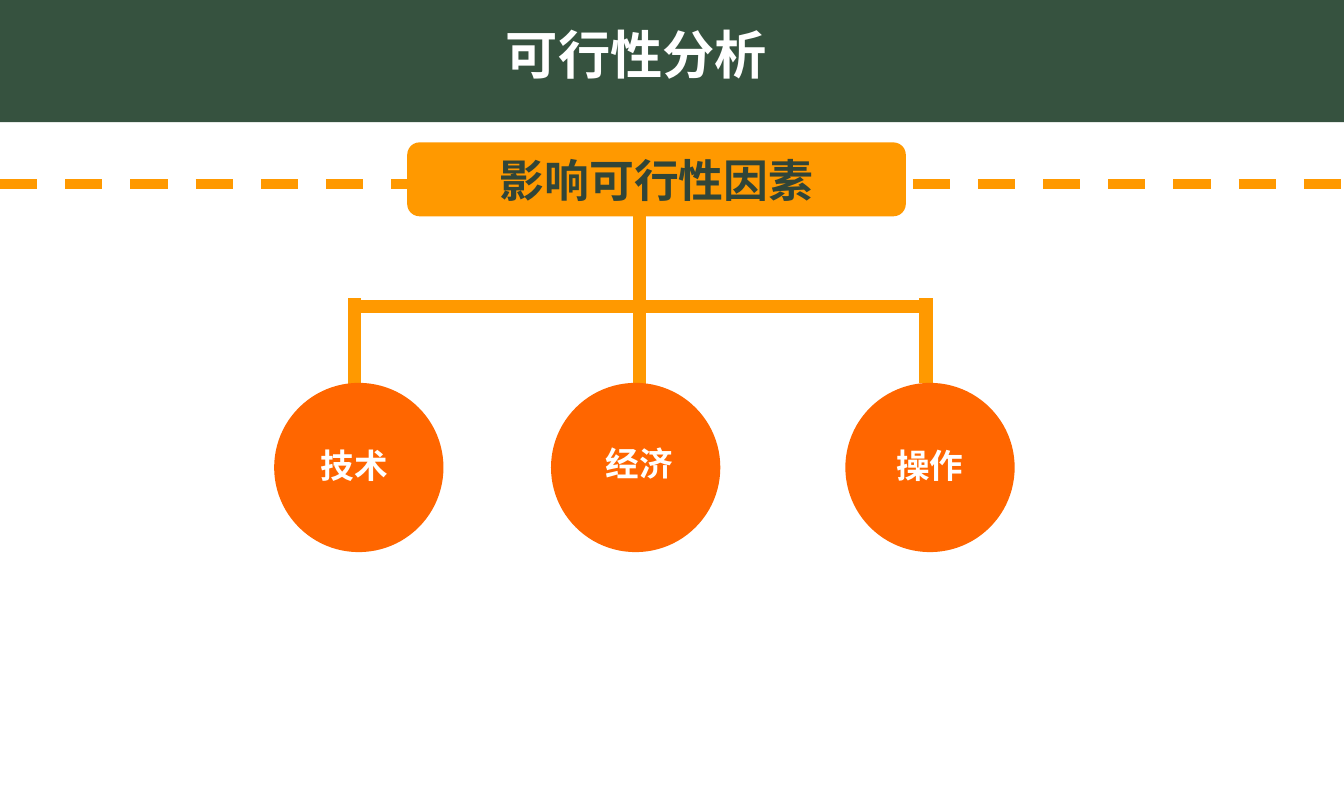
from dataclasses import dataclass
from typing import Any

from lxml import etree
from pptx import Presentation
from pptx import util as u
from pptx.dml import color
from pptx.enum import dml, shapes, text
from pptx.oxml import ns

COLOURS = {
    "band": "36523F",
    "branch": "FF9900",
    "factor": "FF6600",
    "heading": "314538",
    "white": "FFFFFF",
}
WIDTH, HEIGHT = u.Inches(10), u.Inches(5.91)
COLUMNS, ROWS = 100, 59.1
CIRCLE = 12.6
CIRCLE_TOP = 28.5
BAR_ROW = 22.8
TRUNK_COLUMN, LEFT_COLUMN, RIGHT_COLUMN = 47.6, 26.4, 68.9


@dataclass(frozen=True)
class Area:
    left: float
    top: float
    width: float
    height: float

    def place(self) -> tuple[int, int, int, int]:
        return (across(self.left), down(self.top), across(self.width), down(self.height))


@dataclass(frozen=True)
class Branch:
    start: tuple[float, float]
    end: tuple[float, float]
    weight: float = 7
    dashed: bool = False


@dataclass(frozen=True)
class Factor:
    name: str
    circle_left: float
    label_left: float
    label_top: float


BRANCHES = [
    Branch((TRUNK_COLUMN, 15.8), (TRUNK_COLUMN, 31.1)),
    Branch((LEFT_COLUMN, BAR_ROW), (RIGHT_COLUMN, BAR_ROW)),
    Branch((RIGHT_COLUMN, 22.2), (RIGHT_COLUMN, 28.5)),
    Branch((LEFT_COLUMN, 22.2), (LEFT_COLUMN, 29.5)),
]
FACTORS = [
    Factor("技术", 20.4, 22.9, 32.6),
    Factor("经济", 41, 44.1, 32.5),
    Factor("操作", 62.9, 65.7, 32.6),
]


def across(columns: float) -> int:
    return round(WIDTH * columns / COLUMNS)


def down(rows: float) -> int:
    return round(HEIGHT * rows / ROWS)


def rgb(name: str) -> color.RGBColor:
    return color.RGBColor.from_string(COLOURS[name])


def apply(target: Any, values: dict[str, Any]) -> None:
    for name, value in values.items():
        setattr(target, name, value)


def add_block(page: Any, kind: Any, area: Area, fill: str) -> Any:
    block = page.shapes.add_shape(kind, *area.place())
    block.shadow.inherit = False
    block.fill.solid()
    block.fill.fore_color.rgb = rgb(fill)
    block.line.fill.background()
    return block


def add_branch(page: Any, branch: Branch) -> None:
    (x1, y1), (x2, y2) = branch.start, branch.end
    line = page.shapes.add_connector(
        shapes.MSO_CONNECTOR.STRAIGHT, across(x1), down(y1), across(x2), down(y2)
    )
    line.line.width = u.Pt(branch.weight)
    line.line.color.rgb = rgb("branch")
    if branch.dashed:
        line.line.dash_style = dml.MSO_LINE.DASH
    etree.SubElement(line._element.spPr, ns.qn("a:effectLst"))


def write(box: Any, words: str, size: float, colour: str, align: Any, wrap: bool, anchor: Any) -> None:
    frame = box.text_frame
    apply(frame, {
        "word_wrap": wrap,
        "vertical_anchor": anchor,
        "margin_left": u.Inches(0.1),
        "margin_right": u.Inches(0.1),
        "margin_top": u.Inches(0.05),
        "margin_bottom": u.Inches(0.05),
    })
    para = frame.paragraphs[0]
    para.alignment = align
    span = para.add_run()
    span.text = words
    apply(span.font, {"name": "Arial", "size": u.Pt(size), "bold": True})
    span.font.color.rgb = rgb(colour)


def main() -> None:
    deck = Presentation()
    apply(deck, {"slide_width": WIDTH, "slide_height": HEIGHT})
    page = deck.slides.add_slide(deck.slide_layouts[6])
    kinds, align, anchor = shapes.MSO_SHAPE, text.PP_ALIGN, text.MSO_ANCHOR

    add_block(page, kinds.RECTANGLE, Area(0, 0, COLUMNS, 9.1), "band")
    title = page.shapes.add_textbox(*Area(27.3, 1.2, 40.1, 5.7).place())
    write(title, "可行性分析", 28, "white", align.CENTER, True, anchor.TOP)

    add_branch(page, Branch((0, 13.7), (100.4, 13.7), 5, True))
    heading = add_block(
        page, kinds.FLOWCHART_ALTERNATE_PROCESS, Area(30.3, 10.6, 37.1, 5.5), "branch"
    )
    write(heading, "影响可行性因素", 24, "heading", align.CENTER, False, anchor.MIDDLE)

    for branch in BRANCHES:
        add_branch(page, branch)
    for factor in FACTORS:
        add_block(page, kinds.OVAL, Area(factor.circle_left, CIRCLE_TOP, CIRCLE, CIRCLE), "factor")
        label = page.shapes.add_textbox(*Area(factor.label_left, factor.label_top, 7, 4).place())
        write(label, factor.name, 18, "white", align.LEFT, False, anchor.TOP)

    deck.save("out.pptx")


if __name__ == "__main__":
    main()
